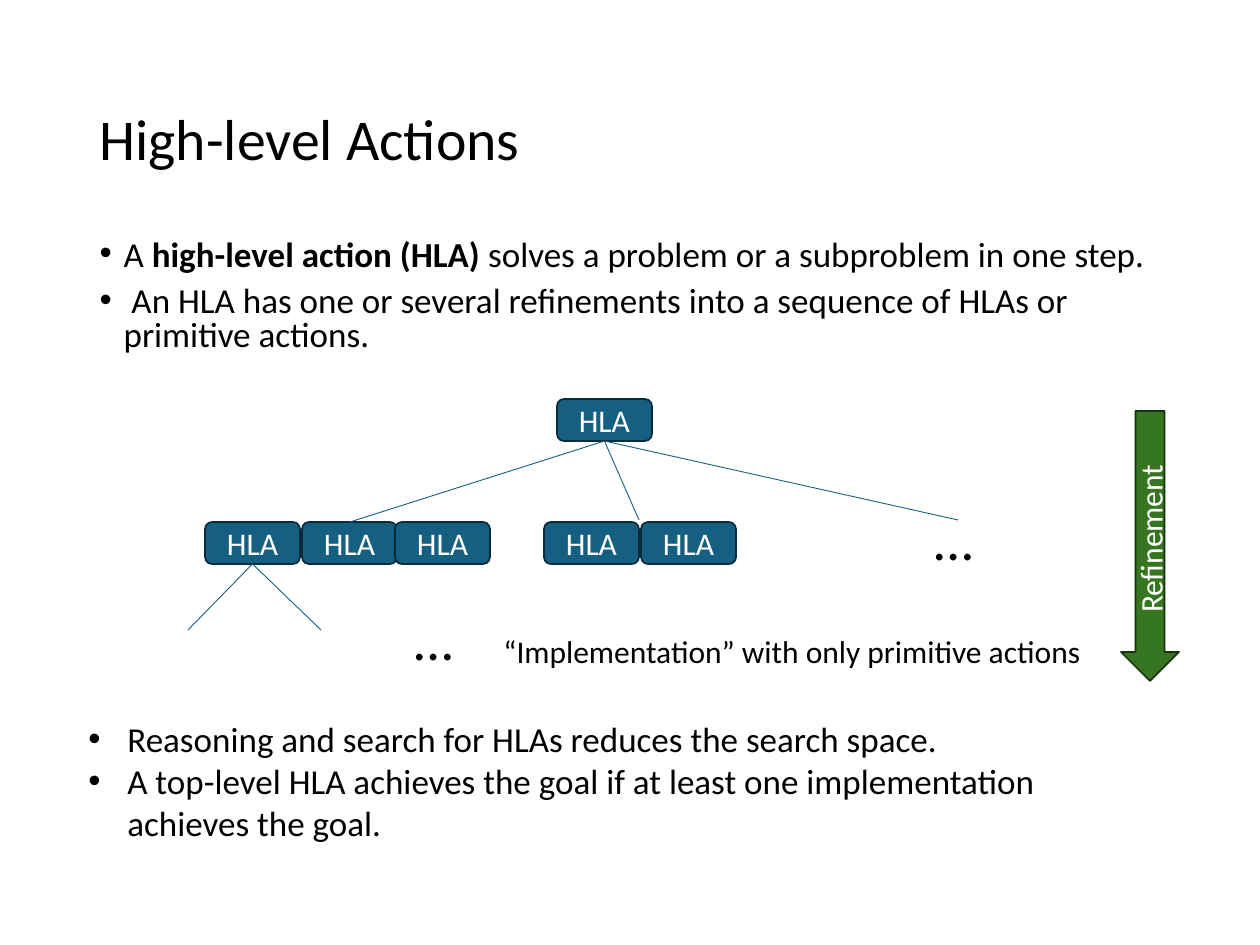
import pptx
import pptx.dml.color
import pptx.enum.shapes
import pptx.enum.text
import pptx.oxml.ns
import pptx.util
from lxml import etree

SCALE = 914400 / 126
FONT = "Calibri"
BLACK = pptx.dml.color.RGBColor(0x00, 0x00, 0x00)
WHITE = pptx.dml.color.RGBColor(0xFF, 0xFF, 0xFF)
BLUE = pptx.dml.color.RGBColor(0x15, 0x60, 0x82)
DARK_BLUE = pptx.dml.color.RGBColor(0x09, 0x2A, 0x39)
GREEN = pptx.dml.color.RGBColor(0x37, 0x76, 0x20)
DARK_GREEN = pptx.dml.color.RGBColor(0x18, 0x34, 0x0E)

SHAPES = pptx.enum.shapes.MSO_SHAPE
LEFT = pptx.enum.text.PP_ALIGN.LEFT
CENTER = pptx.enum.text.PP_ALIGN.CENTER
TOP = pptx.enum.text.MSO_ANCHOR.TOP
MIDDLE = pptx.enum.text.MSO_ANCHOR.MIDDLE

ACTION_WIDTH, ACTION_HEIGHT = 95, 42
ROOT_LEFT, ROOT_TOP = 557, 399
REFINED_LEFTS, REFINED_TOP = (205, 302, 395, 544, 641), 522


def px(*lengths):
    return [pptx.util.Emu(round(length * SCALE)) for length in lengths]


def add_bullet(paragraph, indent):
    properties = paragraph._p.get_or_add_pPr()
    hanging = px(indent)[0]
    properties.set("marL", str(hanging))
    properties.set("indent", str(-hanging))
    for tag, name, value in (("a:buFont", "typeface", "Arial"), ("a:buChar", "char", "•")):
        etree.SubElement(properties, pptx.oxml.ns.qn(tag)).set(name, value)


def write(frame, *paragraphs, size=18, color=BLACK, align=LEFT, anchor=TOP,
          indent=None, line_spacing=1.0, space_before=0, wrap=True):
    """Fill a frame; each paragraph is a string or a list of (text, bold) runs."""
    frame.word_wrap = wrap
    frame.auto_size = pptx.enum.text.MSO_AUTO_SIZE.NONE
    frame.vertical_anchor = anchor
    for index, content in enumerate(paragraphs):
        paragraph = frame.add_paragraph() if index else frame.paragraphs[0]
        if indent is not None:
            add_bullet(paragraph, indent)
        paragraph.alignment = align
        paragraph.line_spacing = line_spacing
        paragraph.space_before = pptx.util.Pt(space_before if index else 0)
        runs = [(content, False)] if isinstance(content, str) else content
        for text, bold in runs:
            run = paragraph.add_run()
            run.text = text
            run.font.name = FONT
            run.font.size = pptx.util.Pt(size)
            run.font.bold = bold
            run.font.color.rgb = color


def fill_placeholder(placeholder, box, *paragraphs, **text_format):
    placeholder.left, placeholder.top, placeholder.width, placeholder.height = px(*box)
    write(placeholder.text_frame, *paragraphs, **text_format)


def add_label(shapes, box, *paragraphs, **text_format):
    write(shapes.add_textbox(*px(*box)).text_frame, *paragraphs, **text_format)


def add_block(shapes, kind, box, text, fill, outline):
    block = shapes.add_shape(kind, *px(*box))
    block.shadow.inherit = False
    block.fill.solid()
    block.fill.fore_color.rgb = fill
    block.line.color.rgb = outline
    block.line.width = pptx.util.Pt(1)
    write(block.text_frame, text, color=WHITE, align=CENTER, anchor=MIDDLE)
    return block


def add_action(shapes, left, top):
    add_block(shapes, SHAPES.ROUNDED_RECTANGLE,
              (left, top, ACTION_WIDTH, ACTION_HEIGHT), "HLA", BLUE, DARK_BLUE)


def add_branches(shapes, left, top, ends):
    """Draw lines from the bottom centre of the action at left, top."""
    start = (left + ACTION_WIDTH / 2, top + ACTION_HEIGHT)
    for end in ends:
        branch = shapes.add_connector(
            pptx.enum.shapes.MSO_CONNECTOR.STRAIGHT, *px(*start, *end))
        branch.line.color.rgb = BLUE
        branch.line.width = pptx.util.Pt(0.5)
        etree.SubElement(branch._element.spPr, pptx.oxml.ns.qn("a:effectLst"))


def add_refinement_tree(shapes):
    add_action(shapes, ROOT_LEFT, ROOT_TOP)
    for left in REFINED_LEFTS:
        add_action(shapes, left, REFINED_TOP)
    add_branches(shapes, ROOT_LEFT, ROOT_TOP, [(350, 522), (639, 520), (958, 520)])
    add_branches(shapes, REFINED_LEFTS[0], REFINED_TOP, [(188, 630), (321, 630)])
    for left, top in ((922, 498), (402, 598)):
        add_label(shapes, (left, top, 123, 81), "…", size=32)
    add_label(shapes, (491, 626, 610, 50),
              "“Implementation” with only primitive actions", wrap=False)
    refinement = add_block(shapes, SHAPES.DOWN_ARROW, (1121, 411, 58, 270),
                           "Refinement", GREEN, DARK_GREEN)
    refinement.text_frame._txBody.bodyPr.set("vert", "vert270")


def main():
    deck = pptx.Presentation()
    deck.slide_width, deck.slide_height = px(1260, 945)
    slide = deck.slides.add_slide(deck.slide_layouts[1])
    title, definition = slide.placeholders
    fill_placeholder(title, (87, 50, 1086, 183), "High-level Actions",
                     size=33, anchor=MIDDLE, line_spacing=0.9)
    fill_placeholder(
        definition, (87, 234, 1086, 140),
        [("A ", False), ("high-level action (HLA)", True),
         (" solves a problem or a subproblem in one step.", False)],
        " An HLA has one or several refinements into a sequence of HLAs or primitive actions.",
        size=20, indent=24, line_spacing=0.8, space_before=7.5)
    add_refinement_tree(slide.shapes.add_group_shape().shapes)
    add_label(
        slide.shapes, (76, 711, 1097, 140),
        "Reasoning and search for HLAs reduces the search space.",
        "A top-level HLA achieves the goal if at least one implementation achieves the goal.",
        size=20, indent=39)
    deck.save("out.pptx")


if __name__ == "__main__":
    main()
